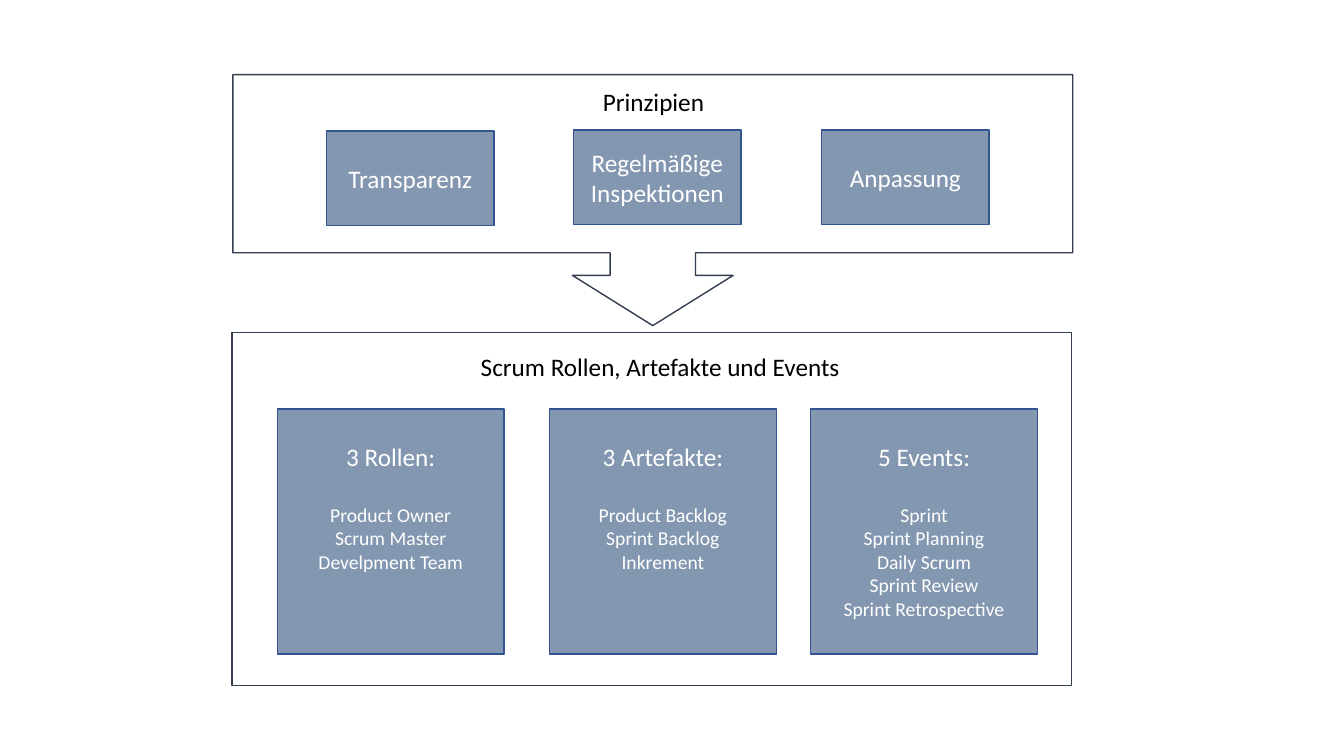
import pptx
import pptx.dml.color
import pptx.enum.shapes
import pptx.enum.text
import pptx.util

SHAPE = pptx.enum.shapes.MSO_SHAPE
ALIGN = pptx.enum.text.PP_ALIGN
ANCHOR = pptx.enum.text.MSO_ANCHOR
AUTO_SIZE = pptx.enum.text.MSO_AUTO_SIZE

COLORS = {
    "panel": "FFFFFF",
    "panel_line": "333F50",
    "box": "8497B0",
    "box_line": "325491",
    "light": "FFFFFF",
    "dark": "000000",
}

PRINCIPLES = [
    ("Transparenz", 32.4, 13),
    ("Regelmäßige Inspektionen", 56.9, 12.9),
    ("Anpassung", 81.5, 12.9),
]

CARDS = [
    ("3 Rollen:", 27.5, ["Product Owner", "Scrum Master", "Develpment Team"]),
    ("3 Artefakte:", 54.5, ["Product Backlog", "Sprint Backlog", "Inkrement"]),
    ("5 Events:", 80.4, ["Sprint", "Sprint Planning", "Daily Scrum",
                        "Sprint Review", "Sprint Retrospective"]),
]


class ScrumSlide:
    columns, rows = 133.3, 75
    font_name = "Calibri"
    heading_size, item_size = 18, 14

    def __init__(self, presentation):
        self.column = presentation.slide_width / self.columns
        self.row = presentation.slide_height / self.rows
        self.slide = presentation.slides.add_slide(presentation.slide_layouts[6])

    def place(self, left, top, width, height):
        return (round(left * self.column), round(top * self.row),
                round(width * self.column), round(height * self.row))

    def color(self, name):
        return pptx.dml.color.RGBColor.from_string(COLORS[name])

    def apply(self, target, values):
        for name, value in values.items():
            setattr(target, name, value)

    def outline(self, kind, area, fill, line):
        shape = self.slide.shapes.add_shape(kind, *self.place(*area))
        shape.shadow.inherit = False
        if fill:
            shape.fill.solid()
            shape.fill.fore_color.rgb = self.color(fill)
        else:
            shape.fill.background()
        shape.line.color.rgb = self.color(line)
        shape.line.width = pptx.util.Pt(1)
        return shape

    def fill_paragraph(self, paragraph, text, size, color, **layout):
        self.apply(paragraph, layout)
        run = paragraph.add_run()
        run.text = text
        self.apply(run.font, {"name": self.font_name, "size": pptx.util.Pt(size)})
        run.font.color.rgb = self.color(color)

    def callout(self, area, adjustments):
        shape = self.outline(SHAPE.DOWN_ARROW_CALLOUT, area, None, "panel_line")
        for index, value in enumerate(adjustments):
            shape.adjustments[index] = value

    def panel(self, area):
        self.outline(SHAPE.RECTANGLE, area, "panel", "panel_line")

    def label(self, area, text):
        frame = self.slide.shapes.add_textbox(*self.place(*area)).text_frame
        self.apply(frame, {"word_wrap": False, "auto_size": AUTO_SIZE.SHAPE_TO_FIT_TEXT})
        self.fill_paragraph(frame.paragraphs[0], text, self.heading_size, "dark")

    def box(self, area, text, **layout):
        shape = self.outline(SHAPE.RECTANGLE, area, "box", "box_line")
        frame = shape.text_frame
        self.apply(frame, {"word_wrap": True, "vertical_anchor": ANCHOR.MIDDLE})
        self.fill_paragraph(frame.paragraphs[0], text, self.heading_size, "light",
                            alignment=ALIGN.CENTER, **layout)
        return frame

    def card(self, area, heading, items):
        frame = self.box(area, heading, space_after=pptx.util.Pt(22))
        self.apply(frame, {"vertical_anchor": ANCHOR.TOP,
                           "margin_top": round(3.2 * self.row)})
        for item in items:
            self.fill_paragraph(frame.add_paragraph(), item, self.item_size, "light",
                                alignment=ALIGN.CENTER)


def main():
    presentation = pptx.Presentation()
    presentation.slide_width = pptx.util.Inches(13.33)
    presentation.slide_height = pptx.util.Inches(7.5)
    scrum = ScrumSlide(presentation)

    scrum.callout((23.1, 7.4, 83.3, 24.9), (0.34, 0.32, 0.2, 0.71))
    for text, left, top in PRINCIPLES:
        scrum.box((left, top, 16.6, 9.4), text)
    scrum.label((58.8, 8.1, 12.8, 4), "Prinzipien")

    scrum.panel((23, 33, 83.3, 35))
    for heading, left, items in CARDS:
        scrum.card((left, 40.6, 22.5, 24.3), heading, items)
    scrum.label((46.7, 34.4, 38, 4), "Scrum Rollen, Artefakte und Events")

    presentation.save("out.pptx")


if __name__ == "__main__":
    main()
